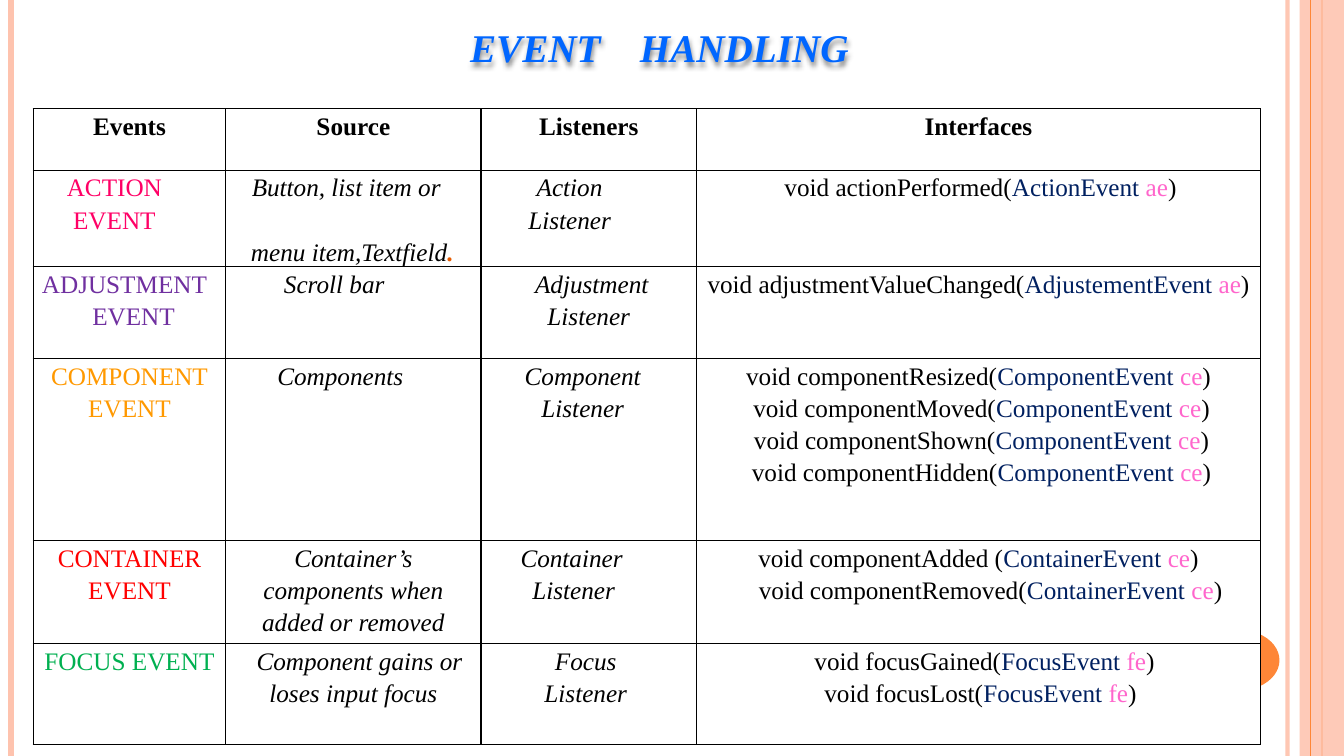
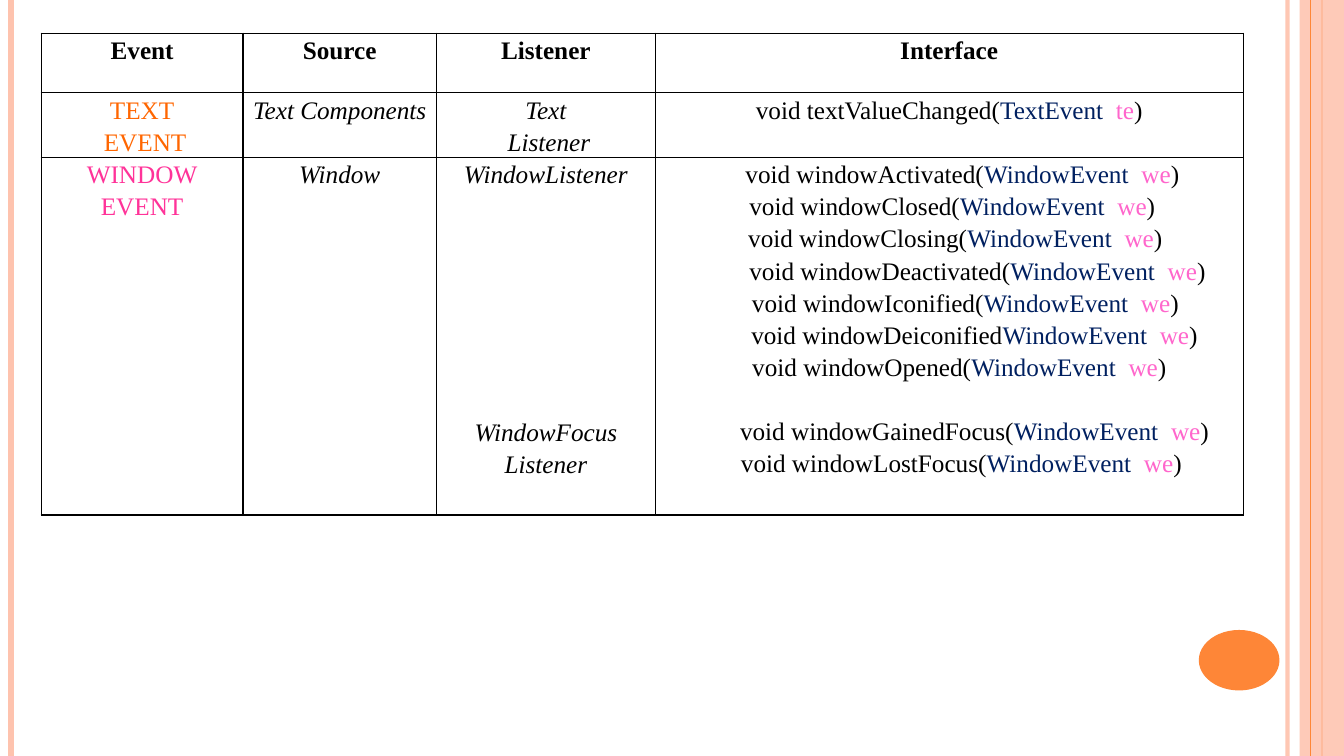
from collections import namedtuple

from lxml import etree
from pptx import Presentation
from pptx import util as u
from pptx.dml import color
from pptx.enum import shapes, text
from pptx.oxml import ns

FONT = "Times New Roman"
BLACK, WHITE, NAVY, PINK = "000000", "FFFFFF", "002060", "FF66CC"
PEACH, ORANGE, RUST, BLUE = "FEC3AE", "FE8637", "E75C01", "0066FF"
BODY_SIZE = 18
LINE_SPACING = 1.15
BLANK_LINE = 23

Run = namedtuple("Run", "text color bold italic spread",
                 defaults=(BLACK, False, False, 0))
Line = namedtuple("Line", "runs nudge before", defaults=(0, 0))
Method = namedtuple("Method", "start nudge before", defaults=(0, 0))


def rgb(value):
    return color.RGBColor.from_string(value)


def add_xml(parent, tag, **attributes):
    return etree.SubElement(parent, ns.qn(tag), attributes)


def set_alpha(element, percent):
    for tint in element.iter(ns.qn("a:srgbClr")):
        add_xml(tint, "a:alpha", val=str(percent * 1000))


def add_run(paragraph, part, size):
    run = paragraph.add_run()
    run.text = part.text
    run.font.name = FONT
    run.font.size = u.Pt(size)
    run.font.bold = part.bold
    run.font.italic = part.italic
    run.font.color.rgb = rgb(part.color)
    if part.spread:
        run._r.get_or_add_rPr().set("spc", str(int(part.spread * 100)))


def add_rule(slide, x, tint, width, opacity=100):
    rule = slide.shapes.add_connector(
        shapes.MSO_CONNECTOR.STRAIGHT,
        u.Inches(x), 0, u.Inches(x), u.Inches(7.5))
    rule.line.color.rgb = rgb(tint)
    rule.line.width = u.Pt(width)
    if opacity < 100:
        set_alpha(rule._element, opacity)
    add_xml(rule._element.spPr, "a:effectLst")
    return rule


def add_block(slide, kind, box, tint, opacity=100):
    block = slide.shapes.add_shape(kind, *map(u.Inches, box))
    block.shadow.inherit = False
    block.fill.solid()
    block.fill.fore_color.rgb = rgb(tint)
    block.line.fill.background()
    if opacity < 100:
        set_alpha(block._element.spPr, opacity)
    return block


def move_to_master(master, decorations):
    tree = master.shapes._spTree
    for number, decoration in enumerate(decorations, 100):
        element = decoration._element
        next(element.iter(ns.qn("p:cNvPr"))).set("id", str(number))
        tree.append(element)


def add_frame(master, slide):
    move_to_master(master, [
        add_rule(slide, 12.77, PEACH, 3, 93),
        add_rule(slide, 0.11, PEACH, 4.5),
        add_rule(slide, 13.11, ORANGE, 1.5),
        add_block(slide, shapes.MSO_SHAPE.RECTANGLE,
                  (12.89, 0, 0.44, 7.5), PEACH, 87),
        add_rule(slide, 13, ORANGE, 0.75),
        add_block(slide, shapes.MSO_SHAPE.OVAL,
                  (11.89, 6.25, 0.8, 0.6), ORANGE),
    ])


def set_title(slide, first, second):
    title = slide.shapes.title
    title.left, title.top, title.width, title.height = map(
        u.Inches, (0.58, 0, 11.92, 0.92))
    title.text_frame.vertical_anchor = text.MSO_ANCHOR.MIDDLE
    paragraph = title.text_frame.paragraphs[0]
    paragraph.alignment = text.PP_ALIGN.CENTER
    for words, spread in ((first, 0), (" ", 21), (second, 0)):
        add_run(paragraph, Run(words, BLUE, True, True, spread), 28)
    effects = add_xml(title._element.spPr, "a:effectLst")
    shadow = add_xml(effects, "a:outerShdw", blurRad="38100", dist="38100",
                     dir="5400000", algn="t", rotWithShape="0")
    add_xml(shadow, "a:srgbClr", val=BLACK)
    set_alpha(effects, 45)


def set_borders(cell):
    properties = cell._tc.get_or_add_tcPr()
    for place, side in enumerate(("a:lnL", "a:lnR", "a:lnT", "a:lnB")):
        border = add_xml(properties, side, w=str(u.Pt(1)))
        add_xml(add_xml(border, "a:solidFill"), "a:srgbClr", val=BLACK)
        properties.insert(place, border)


def fill_cell(cell, lines):
    cell.fill.solid()
    cell.fill.fore_color.rgb = rgb(WHITE)
    cell.margin_left = cell.margin_right = u.Inches(0.07)
    cell.margin_top = cell.margin_bottom = 0
    set_borders(cell)
    frame = cell.text_frame
    for index, line in enumerate(lines):
        paragraph = frame.add_paragraph() if index else frame.paragraphs[0]
        paragraph.alignment = text.PP_ALIGN.CENTER
        paragraph.line_spacing = LINE_SPACING
        if line.before:
            paragraph.space_before = u.Pt(line.before)
        if line.nudge:
            side = "marL" if line.nudge > 0 else "marR"
            paragraph._p.get_or_add_pPr().set(
                side, str(u.Inches(2 * abs(line.nudge))))
        for part in line.runs:
            add_run(paragraph, part, BODY_SIZE)


def header(*labels):
    return [[Line([Run(label, bold=True)])] for label in labels]


def event_name(tint, *words):
    return [Line([Run(word, tint)], nudge) for word, nudge in words]


def italic(words, nudge=0, before=0):
    return Line([Run(words, italic=True)], nudge, before)


def signatures(event_class, argument, methods, spread=0):
    return [
        Line([Run("void " + method.start), Run(event_class, NAVY),
              Run(" ", NAVY, spread=spread), Run(argument, PINK), Run(")")],
             method.nudge, method.before)
        for method in methods
    ]


def add_event_table(slide, left, top, widths, heights, rows):
    table = slide.shapes.add_table(
        len(rows), len(widths), u.Inches(left), u.Inches(top),
        u.Inches(sum(widths)), u.Inches(sum(heights))).table
    table.first_row = table.horz_banding = False
    for column, width in zip(table.columns, widths):
        column.width = u.Inches(width)
    for table_row, height, cells in zip(table.rows, heights, rows):
        table_row.height = u.Inches(height)
        for cell, lines in zip(table_row.cells, cells):
            fill_cell(cell, lines)


def component_events():
    return [
        header("Events", "Source", "Listeners", "Interfaces"),
        [event_name("FF0066", ("ACTION", -0.15), ("EVENT", 0)),
         [italic("Button, list item or", -0.07),
          Line([Run("menu item,Textfield", italic=True),
                Run(".", RUST, True, True)], 0.06, BLANK_LINE)],
         [italic("Action", -0.19), italic("Listener")],
         signatures("ActionEvent", "ae",
                    [Method("actionPerformed(", 0.02)])],
        [event_name("7030A0", ("ADJUSTMENT", -0.05), ("EVENT", 0.09)),
         [italic("Scroll bar", -0.19)],
         [italic("Adjustment", 0.03), italic("Listener")],
         signatures("AdjustementEvent", "ae",
                    [Method("adjustmentValueChanged(")])],
        [event_name("FF9900", ("COMPONENT", 0), ("EVENT", 0)),
         [italic("Components", -0.13)],
         [italic("Component", -0.06), italic("Listener")],
         signatures("ComponentEvent", "ce", [
             Method("componentResized("),
             Method("componentMoved(", 0.03),
             Method("componentShown(", 0.03),
             Method("componentHidden(", 0.03)])],
        [event_name("FF0000", ("CONTAINER", 0), ("EVENT", 0)),
         [italic("Container’s components when added or removed")],
         [italic("Container", -0.17), italic("Listener", -0.15)],
         signatures("ContainerEvent", "ce", [
             Method("componentAdded ("),
             Method("componentRemoved(", 0.12)])],
        [event_name("00B050", ("FOCUS EVENT", 0)),
         [italic("Component gains or", 0.06), italic("loses input focus")],
         [italic("Focus", -0.03), italic("Listener")],
         signatures("FocusEvent", "fe", [
             Method("focusGained(", 0.06),
             Method("focusLost(", 0.02)])],
    ]


def window_events():
    return [
        header("Event", "Source", "Listener", "Interface"),
        [event_name("FF6600", ("TEXT", 0), ("EVENT", 0.03)),
         [italic("Text Components")],
         [italic("Text"), italic("Listener", 0.03)],
         signatures("TextEvent", "te", [Method("textValueChanged(")], 4.5)],
        [event_name("FF3399", ("WINDOW", 0), ("EVENT", 0)),
         [italic("Window")],
         [italic("WindowListener"),
          italic("WindowFocus", before=7 * BLANK_LINE), italic("Listener")],
         signatures("WindowEvent", "we", [
             Method("windowActivated(", 0.13),
             Method("windowClosed(", 0.03),
             Method("windowClosing(", 0.06),
             Method("windowDeactivated(", 0.28),
             Method("windowIconified(", 0.16),
             Method("windowDeiconified", 0.25),
             Method("windowOpened(", 0.1),
             Method("windowGainedFocus(", 0.25, BLANK_LINE),
             Method("windowLostFocus(", 0.12)], 4.5)],
    ]


def main():
    deck = Presentation()
    deck.slide_width, deck.slide_height = u.Inches(13.33), u.Inches(7.5)
    title_only, blank = deck.slide_layouts[5], deck.slide_layouts[6]

    handling = deck.slides.add_slide(title_only)
    add_frame(deck.slide_master, handling)
    set_title(handling, "EVENT", "HANDLING")
    add_event_table(handling, 0.33, 1.08, (1.91, 2.53, 2.14, 5.59),
                    (0.61, 0.95, 0.91, 1.81, 1.02, 1), component_events())

    windows = deck.slides.add_slide(blank)
    add_event_table(windows, 0.41, 0.33, (2, 1.92, 2.17, 5.83),
                    (0.59, 0.64, 3.55), window_events())

    deck.save("out.pptx")


if __name__ == "__main__":
    main()
